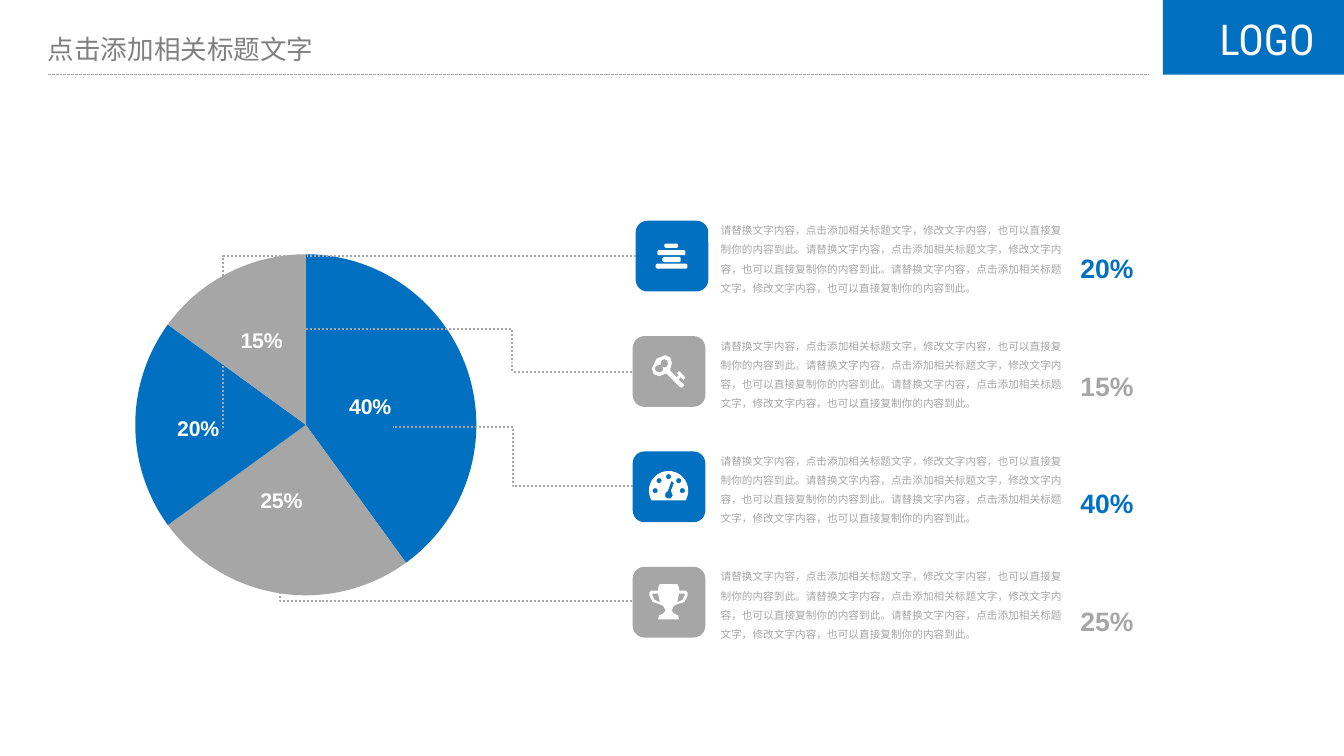
from dataclasses import dataclass
from math import cos, radians, sin

from lxml import etree
from pptx import Presentation
from pptx import util as u
from pptx.chart.data import CategoryChartData
from pptx.dml.color import RGBColor
from pptx.enum import chart as ch, dml, shapes, text
from pptx.oxml import parse_xml
from pptx.oxml.ns import nsdecls, qn

BLUE = RGBColor(0x01, 0x70, 0xC1)
GRAY = RGBColor(0xA6, 0xA6, 0xA6)
DARK = RGBColor(0x80, 0x80, 0x80)
WHITE = RGBColor(0xFF, 0xFF, 0xFF)

PHRASE = "请替换文字内容，点击添加相关标题文字，修改文字内容，也可以直接复制你的内容到此。"
PITCH = 86.9

Dots = list[tuple[float, float]]


@dataclass
class Item:
    share: str
    color: RGBColor
    left: float
    icon: list[Dots]


@dataclass
class Slice:
    value: float
    color: RGBColor
    shift: tuple[float, float]


@dataclass
class Link:
    start: tuple[float, float]
    end: tuple[float, float]
    bend: float


# Icon outlines, in points from the corner of the tile
def bar(left: float, top: float, right: float, low: float) -> Dots:
    c = 0.8
    return [(left + c, top), (right - c, top), (right, top + c), (right, low - c),
            (right - c, low), (left + c, low), (left, low - c), (left, top + c)]


def arc(x: float, y: float, r: float, first: int = 0, last: int = 350) -> Dots:
    turns = [radians(a) for a in range(first, last + 1, 10)]
    return [(x + r * cos(a), y - r * sin(a)) for a in turns]


def mirror(half: Dots, mid: float = 27) -> Dots:
    return [(mid + x, y) for x, y in half] + [(mid - x, y) for x, y in reversed(half)]


LINES = [bar(21.6, 17.2, 31.9, 20.4), bar(16.4, 22.2, 37.4, 26),
         bar(20.2, 27.3, 33.9, 31.2), bar(15.1, 32.4, 39, 36)]
KEY = [
    [(38.2, 33.1), (36, 31), (34.6, 33.1), (38.2, 36), (38.9, 37.4), (36.7, 38.9),
     (35.3, 38.2), (25.2, 28.1), (20.2, 30.2), (15.9, 28.8), (14.4, 24.5), (18, 17),
     (24.5, 14.4), (28.2, 16), (29.5, 20.2), (28.1, 25.9), (33.1, 31), (34.6, 29.5),
     (33.1, 28.1), (34.6, 26.6), (35.3, 26.6), (39.6, 31)],
    [(23.8, 17.3), (21.6, 18.5), (20.9, 20.9), (21.6, 21.6), (20.2, 21.6), (17.3, 22.7),
     (16.6, 24.5), (17.6, 26.6), (20.2, 27.4), (22.3, 26.6), (23, 24.5), (22.3, 23),
     (23.8, 23.8), (25.9, 23), (26.6, 20.9), (25.9, 18.3)],
]
HUBS = [(16.9, 29.5), (19.8, 22), (27, 19), (34.6, 22), (37.4, 29.5)]
GAUGE = [
    arc(27, 29.5, 14.8, -30, 210),
    *[arc(x, y, 1.9) for x, y in HUBS],
    [(31, 23.8), (29.5, 22.3), (28.8, 23), (26.6, 29.5), (24.5, 31.7), (24.5, 34),
     (25.9, 35.3), (28.8, 35.3), (30.2, 33.1), (28.8, 29.5)],
]
GRIP = [(7.9, 20.2), (12.2, 20.2), (12.2, 21.6), (10.5, 25), (6.5, 26.6)]
CUP = [
    mirror([(6.5, 13), (7.9, 15.8), (7.9, 18), (13, 18), (14.4, 19.4), (14.4, 21.6),
            (12, 26.5), (5, 28.8), (3.6, 30.2), (2.2, 33.1), (4.3, 35.3), (7.2, 36.7),
            (7.9, 39.6)]),
    [(27 + x, y) for x, y in GRIP],
    [(27 - x, y) for x, y in GRIP],
]

ITEMS = [Item("20%", BLUE, 478.8, LINES), Item("15%", GRAY, 476.6, KEY),
         Item("40%", BLUE, 476.6, GAUGE), Item("25%", GRAY, 476.6, CUP)]
SLICES = [Slice(0.4, BLUE, (-0.03, 0.02)), Slice(0.25, GRAY, (-0.02, -0.02)),
          Slice(0.2, BLUE, (-0.04, 0.01)), Slice(0.15, GRAY, (-0.01, -0.02))]
LINKS = [Link((478.8, 193), (169.2, 321.8), 1.004), Link((478.8, 452.9), (211, 421.2), 1),
         Link((478.8, 280.1), (211, 247.7), 0.347), Link((476.6, 366.5), (295.9, 321.8), 0.5)]


def put(slide, words: str, left: float, top: float, wide: float, high: float, *,
        size: float, color: RGBColor, font: str = "Arial", bold: bool = False,
        pad: tuple[float, float] = (7.2, 3.6), wrap: bool = True, gap: float = 1,
        align=text.PP_ALIGN.LEFT, anchor=text.MSO_ANCHOR.TOP) -> None:
    box = slide.shapes.add_textbox(u.Pt(left), u.Pt(top), u.Pt(wide), u.Pt(high))
    frame = box.text_frame
    frame.word_wrap, frame.vertical_anchor = wrap, anchor
    frame.margin_left = frame.margin_right = u.Pt(pad[0])
    frame.margin_top = frame.margin_bottom = u.Pt(pad[1])
    para = frame.paragraphs[0]
    para.alignment, para.line_spacing = align, gap
    run = para.add_run()
    run.text = words
    face = run.font
    face.size, face.bold, face.name = u.Pt(size), bold, font
    face.color.rgb = color
    east = etree.SubElement(face._element, qn("a:ea"))
    east.set("typeface", font)


def paint(shape, color: RGBColor) -> None:
    shape.shadow.inherit = False
    shape.fill.solid()
    shape.fill.fore_color.rgb = color
    shape.line.fill.background()


def block(slide, kind, left: float, top: float, wide: float, high: float,
          color: RGBColor) -> None:
    paint(slide.shapes.add_shape(kind, u.Pt(left), u.Pt(top), u.Pt(wide), u.Pt(high)), color)


def draw(slide, icon: list[Dots], left: float, top: float) -> None:
    paths = [[(u.Pt(left + x), u.Pt(top + y)) for x, y in dots] for dots in icon]
    pen = slide.shapes.build_freeform(*paths[0][0])
    for i, dots in enumerate(paths):
        if i:
            pen.move_to(*dots[0])
        pen.add_line_segments(dots[1:], close=True)
    paint(pen.convert_to_shape(), WHITE)


def join(slide, kind, start: tuple[float, float], end: tuple[float, float],
         width: float, dash):
    ends = [u.Pt(v) for v in (*start, *end)]
    line = slide.shapes.add_connector(kind, *ends)
    line.line.color.rgb = GRAY
    line.line.width, line.line.dash_style = u.Pt(width), dash
    etree.SubElement(line._element.spPr, qn("a:effectLst"))
    return line


def layout(parts: str):
    return parse_xml(f'<c:layout {nsdecls("c")}><c:manualLayout>{parts}'
                     '</c:manualLayout></c:layout>')


def pie(slide) -> None:
    data = CategoryChartData(number_format="0%")
    data.categories = [str(i + 1) for i in range(len(SLICES))]
    data.add_series("Series 1", [s.value for s in SLICES])
    chart = slide.shapes.add_chart(ch.XL_CHART_TYPE.PIE, u.Pt(17.3), u.Pt(169.9),
                                   u.Pt(421.9), u.Pt(309.6), data).chart
    chart.has_legend = chart.has_title = False
    chart.font.name, chart.font.size = "Arial", u.Pt(16)
    plot = chart.plots[0]
    plot.vary_by_categories = True
    # Plot area, as shares of the chart frame
    area = chart._chartSpace.chart.plotArea
    for old in area.findall(qn("c:layout")):
        area.remove(old)
    spots = {"x": 0.2, "y": 0.07, "w": 0.61, "h": 0.83}
    area.insert(0, layout('<c:layoutTarget val="inner"/><c:xMode val="edge"/>'
                          '<c:yMode val="edge"/>'
                          + "".join(f'<c:{k} val="{v}"/>' for k, v in spots.items())))
    for i, part in enumerate(SLICES):
        point = plot.series[0].points[i]
        point.format.fill.solid()
        point.format.fill.fore_color.rgb = part.color
        point.format.line.fill.background()
        label = point.data_label
        label.position = ch.XL_LABEL_POSITION.CENTER
        face = label.font
        face.name, face.size, face.bold = "Arial", u.Pt(16), True
        face.color.rgb = WHITE
        x, y = part.shift
        mark = plot.series[0]._element.findall(".//" + qn("c:dLbl"))[i]
        mark.insert(1, layout(f'<c:x val="{x}"/><c:y val="{y}"/>'))


def main() -> None:
    deck = Presentation()
    deck.slide_width, deck.slide_height = u.Pt(1012.3), u.Pt(569.5)
    slide = deck.slides.add_slide(deck.slide_layouts[6])

    pie(slide)

    # Rows: tile, icon, text and share
    for i, item in enumerate(ITEMS):
        top = 166.3 + PITCH * i
        block(slide, shapes.MSO_SHAPE.ROUNDED_RECTANGLE, item.left, top, 54.7, 53.3, item.color)
        draw(slide, item.icon, item.left, top)
        put(slide, PHRASE * 3, 535.7, 160.6 + PITCH * i, 274.3, 65.5,
            size=8, color=GRAY, gap=1.5)
        put(slide, item.share, 813.6, 189.4 + 88.6 * i, 40.3, 24.5, size=20,
            color=item.color, bold=True, pad=(0, 0), wrap=False,
            align=text.PP_ALIGN.CENTER, anchor=text.MSO_ANCHOR.BOTTOM)

    # Dotted links from tiles to slices
    for link in LINKS:
        line = join(slide, shapes.MSO_CONNECTOR.ELBOW, link.start, link.end, 1.5,
                    dml.MSO_LINE.ROUND_DOT)
        guide = etree.SubElement(line._element.find(".//" + qn("a:avLst")), qn("a:gd"))
        guide.set("name", "adj1")
        guide.set("fmla", f"val {round(link.bend * 100000)}")

    # Header
    dash = join(slide, shapes.MSO_CONNECTOR.STRAIGHT, (36, 56.2), (864.7, 56.2), 0.75,
                dml.MSO_LINE.DASH)
    dash.line._ln.find(qn("a:prstDash")).set("val", "sysDash")
    put(slide, "点击添加相关标题文字", 28.8, 20.9, 241.2, 29.5, size=20, color=DARK,
        font="Noto Sans CJK SC")
    block(slide, shapes.MSO_SHAPE.RECTANGLE, 876, 0, 136.3, 56.2, BLUE)
    put(slide, "LOGO", 911.5, 6, 94, 41.8, size=32, color=WHITE, font="Roboto Condensed")

    deck.save("out.pptx")


if __name__ == "__main__":
    main()
